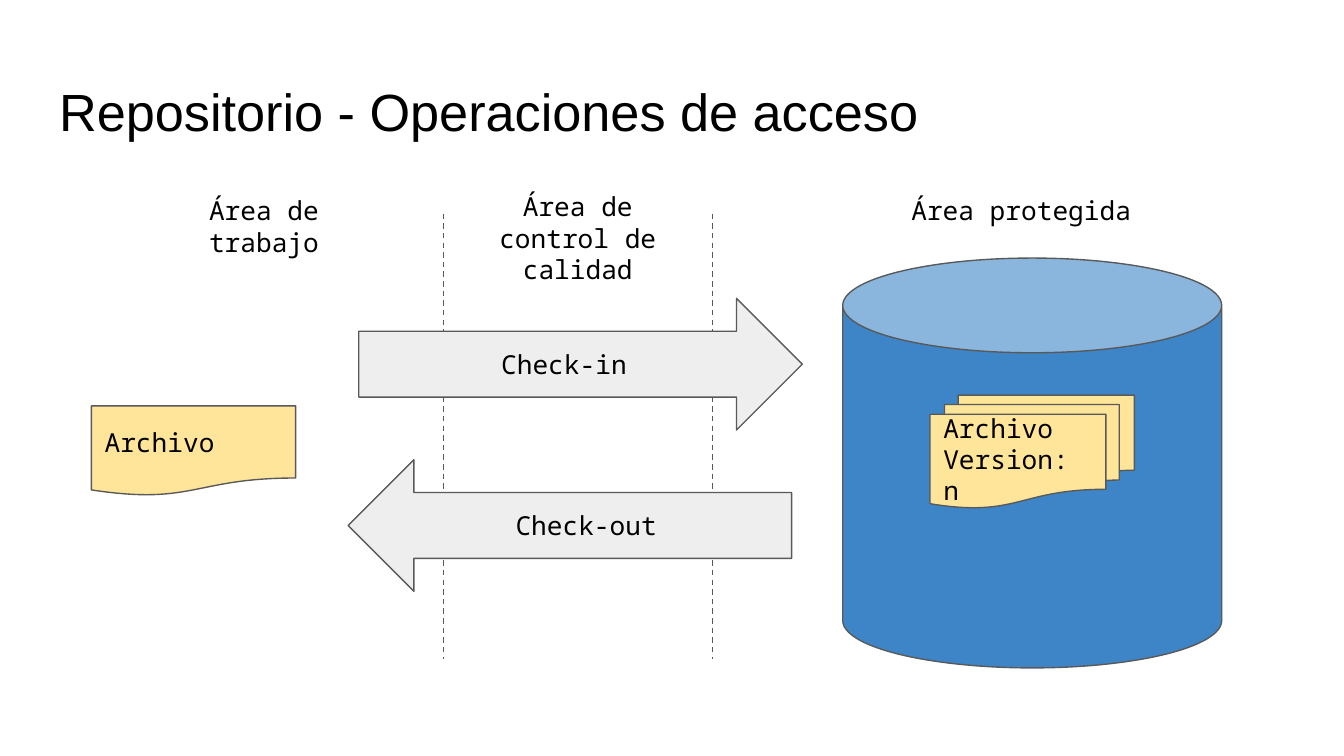
from dataclasses import dataclass

from lxml.etree import SubElement
from pptx import Presentation
from pptx.dml.color import RGBColor
from pptx.enum.dml import MSO_LINE
from pptx.enum.shapes import MSO_CONNECTOR, MSO_SHAPE
from pptx.enum.text import MSO_ANCHOR, MSO_AUTO_SIZE, PP_ALIGN
from pptx.oxml.ns import qn
from pptx.slide import Slide
from pptx.text.text import TextFrame
from pptx.util import Inches, Pt


@dataclass(frozen=True)
class Theme:
    """Colours, fonts and sizes of the slide."""

    ink: RGBColor = RGBColor(0x00, 0x00, 0x00)
    outline: RGBColor = RGBColor(0x59, 0x59, 0x59)
    store: RGBColor = RGBColor(0x3D, 0x85, 0xC6)
    operation: RGBColor = RGBColor(0xEE, 0xEE, 0xEE)
    document: RGBColor = RGBColor(0xFF, 0xE5, 0x99)
    title_font: str = "Arial"
    body_font: str = "Noto Sans Mono"
    title_size: Pt = Pt(28)
    body_size: Pt = Pt(14)
    line_width: Pt = Pt(0.75)


@dataclass(frozen=True)
class Box:
    """A rectangle in inches."""

    left: float
    top: float
    width: float
    height: float

    def emu(self) -> tuple:
        """Return the rectangle as lengths."""
        return tuple(Inches(v) for v in (self.left, self.top, self.width, self.height))


@dataclass(frozen=True)
class Label:
    """The heading of an area."""

    text: str
    box: Box


@dataclass(frozen=True)
class Node:
    """A filled shape of the diagram."""

    kind: MSO_SHAPE
    box: Box
    fill: RGBColor
    text: str = ""
    align: PP_ALIGN = PP_ALIGN.LEFT


THEME = Theme()
INSET = Inches(0.1)
DIVIDERS = (5.3, 3.3)
DIVIDER_TOP, DIVIDER_BOTTOM = 1.59, 4.9

STORE = Node(MSO_SHAPE.CAN, Box(6.27, 1.92, 2.82, 3.05), THEME.store)
LABELS = (
    Label("Área de trabajo", Box(1.06, 1.35, 1.81, 0.63)),
    Label("Área protegida", Box(6.61, 1.35, 1.98, 0.33)),
    Label("Área de control de calidad", Box(3.45, 1.32, 1.7, 1.05)),
)
NODES = (
    Node(MSO_SHAPE.RIGHT_ARROW, Box(2.67, 2.22, 3.3, 0.98), THEME.operation,
         "Check-in", PP_ALIGN.CENTER),
    Node(MSO_SHAPE.LEFT_ARROW, Box(2.59, 3.42, 3.3, 0.98), THEME.operation,
         "Check-out", PP_ALIGN.CENTER),
    Node(MSO_SHAPE.FLOWCHART_MULTIDOCUMENT, Box(6.92, 2.94, 1.52, 0.84),
         THEME.document, "Archivo\nVersion: n"),
    Node(MSO_SHAPE.FLOWCHART_DOCUMENT, Box(0.68, 3.02, 1.52, 0.67),
         THEME.document, "Archivo"),
)


def write(frame: TextFrame, text: str, font: str, size: Pt, align: PP_ALIGN,
          anchor: MSO_ANCHOR) -> None:
    """Fill a text frame and format its paragraphs."""
    frame.text = text
    frame.word_wrap = True
    frame.auto_size = MSO_AUTO_SIZE.NONE
    frame.vertical_anchor = anchor
    frame.margin_left = frame.margin_right = INSET
    frame.margin_top = frame.margin_bottom = INSET
    for paragraph in frame.paragraphs:
        paragraph.alignment = align
        paragraph.font.name = font
        paragraph.font.size = size
        paragraph.font.color.rgb = THEME.ink


def add_title(slide: Slide, text: str) -> None:
    """Place the slide title."""
    title = slide.shapes.title
    title.left, title.top, title.width, title.height = Box(0.34, 0.49, 9.32, 0.63).emu()
    write(title.text_frame, text, THEME.title_font, THEME.title_size,
          PP_ALIGN.LEFT, MSO_ANCHOR.TOP)


def add_node(slide: Slide, node: Node) -> None:
    """Draw a filled, outlined shape with its text."""
    shape = slide.shapes.add_shape(node.kind, *node.box.emu())
    shape.shadow.inherit = False
    shape.fill.solid()
    shape.fill.fore_color.rgb = node.fill
    shape.line.color.rgb = THEME.outline
    shape.line.width = THEME.line_width
    if node.text:
        write(shape.text_frame, node.text, THEME.body_font, THEME.body_size,
              node.align, MSO_ANCHOR.MIDDLE)


def add_divider(slide: Slide, x: float) -> None:
    """Draw a dashed vertical border between areas."""
    divider = slide.shapes.add_connector(
        MSO_CONNECTOR.STRAIGHT,
        Inches(x), Inches(DIVIDER_TOP), Inches(x), Inches(DIVIDER_BOTTOM))
    divider.line.color.rgb = THEME.outline
    divider.line.width = THEME.line_width
    divider.line.dash_style = MSO_LINE.DASH
    SubElement(divider._element.spPr, qn("a:effectLst"))


def add_label(slide: Slide, label: Label) -> None:
    """Write the heading of an area."""
    heading = slide.shapes.add_textbox(*label.box.emu())
    write(heading.text_frame, label.text, THEME.body_font, THEME.body_size,
          PP_ALIGN.CENTER, MSO_ANCHOR.TOP)


def main() -> None:
    """Build and save the slide."""
    deck = Presentation()
    deck.slide_width = Inches(10)
    deck.slide_height = deck.slide_width * 9 // 16
    slide = deck.slides.add_slide(deck.slide_layouts[5])
    add_title(slide, "Repositorio - Operaciones de acceso")
    add_node(slide, STORE)
    for x in DIVIDERS:
        add_divider(slide, x)
    for label in LABELS:
        add_label(slide, label)
    for node in NODES:
        add_node(slide, node)
    deck.save("out.pptx")


if __name__ == "__main__":
    main()
